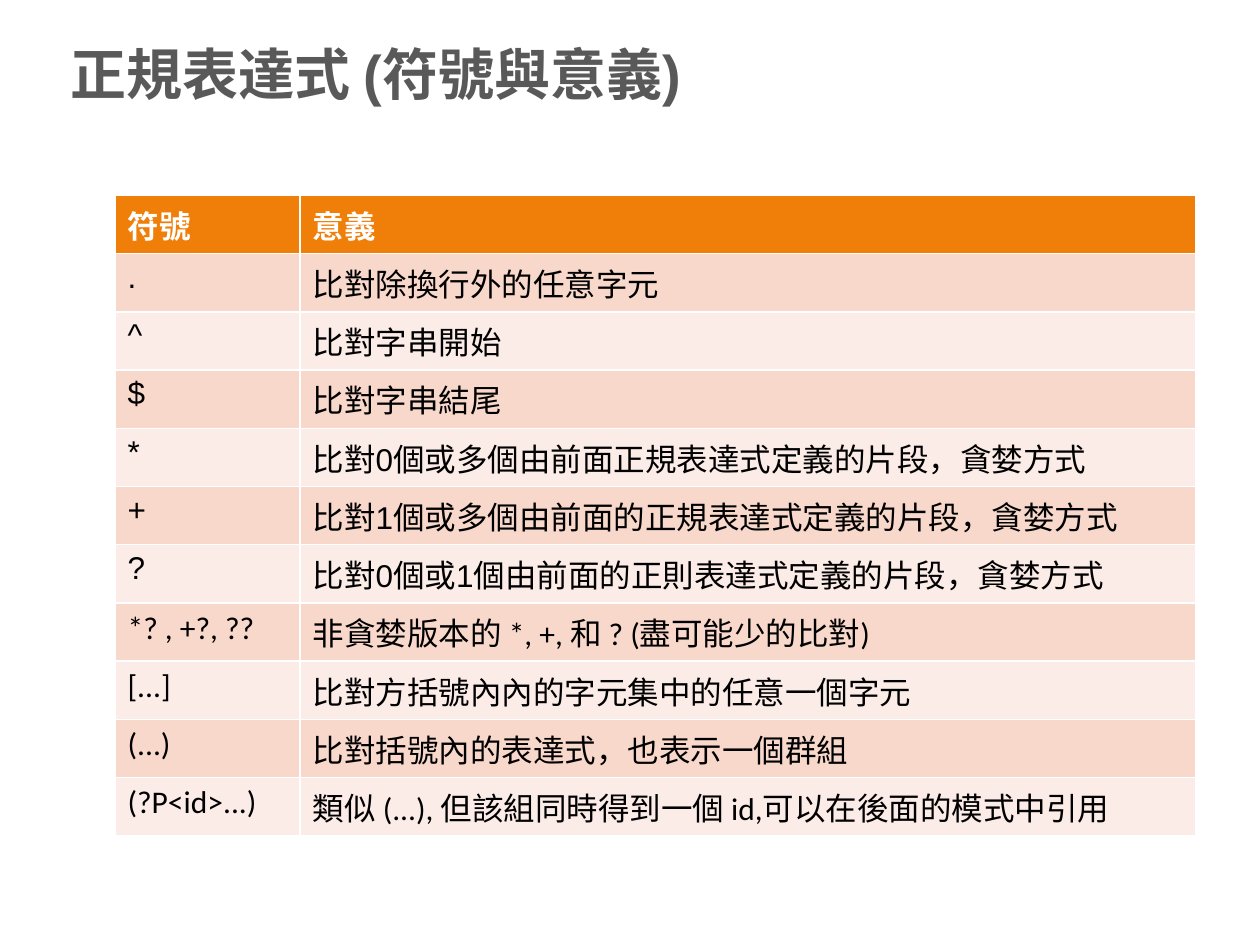
from pptx import Presentation
from pptx.dml.color import RGBColor
from pptx.enum import text
from pptx.util import Pt

ORANGE = RGBColor(0xF0, 0x7F, 0x09)
PINK = RGBColor(0xF9, 0xD8, 0xCC)
PALE_PINK = RGBColor(0xFC, 0xEC, 0xE7)
GRAY = RGBColor(0x59, 0x59, 0x59)
WHITE = RGBColor(0xFF, 0xFF, 0xFF)
BLACK = RGBColor(0, 0, 0)
SANS, BODY = "Arial", "Calibri"

TITLE = "正規表達式 (符號與意義)"
HEADER = ("符號", "意義")
# Each row: symbol, its font, then the meaning as (text, font) runs
ROWS = [
    (".", SANS, [("比對除換行外的任意字元", SANS)]),
    ("^", SANS, [("比對字串開始", SANS)]),
    ("$", SANS, [("比對字串結尾", SANS)]),
    ("*", SANS, [("比對0個或多個由前面正規表達式定義的片段，貪婪方式", SANS)]),
    ("+", SANS, [("比對1個或多個由前面的正規表達式定義的片段，貪婪方式", SANS)]),
    ("?", SANS, [("比對0個或1個由前面的正則表達式定義的片段，貪婪方式", SANS)]),
    ("*? , +?, ??", BODY, [("非貪婪版本的 *, +, 和 ? (盡可能少的", BODY),
                           ("比對", SANS), (")", BODY)]),
    ("[...]", BODY, [("比對", SANS), ("方括號內內的字元集中的任意一個字元", BODY)]),
    ("(...)", BODY, [("比對", SANS), ("括號內的表達式，也表示一個群組", BODY)]),
    ("(?P<id>...)", BODY,
     [("類似 (...), 但該組同時得到一個 id,可以在後面的模式中引用", BODY)]),
]
TITLE_BOX = (33, 20, 648, 44)
TABLE_LEFT, TABLE_TOP = 65.7, 111.6
COLUMN_WIDTHS = (105.8, 512)
ROW_HEIGHT = 29.3


def add_run(p, content, font, size, color, bold):
    r = p.add_run()
    r.text = content
    r.font.color.rgb = color
    for name, value in dict(name=font, size=Pt(size), bold=bold).items():
        setattr(r.font, name, value)


def fill_cell(cell, runs, fill, color, bold):
    cell.fill.solid()
    cell.fill.fore_color.rgb = fill
    for content, font in runs:
        add_run(cell.text_frame.paragraphs[0], content, font, 18, color, bold)


prs = Presentation()
prs.slide_width, prs.slide_height = Pt(720), Pt(540)
s = prs.slides.add_slide(prs.slide_layouts[5])

title = s.shapes.title
title.left, title.top, title.width, title.height = map(Pt, TITLE_BOX)
tf = title.text_frame
tf.vertical_anchor = text.MSO_ANCHOR.MIDDLE
p = tf.paragraphs[0]
p.alignment = text.PP_ALIGN.LEFT
add_run(p, TITLE, SANS, 32, GRAY, True)

count = len(ROWS) + 1
table = s.shapes.add_table(
    count, len(HEADER), Pt(TABLE_LEFT), Pt(TABLE_TOP),
    Pt(sum(COLUMN_WIDTHS)), Pt(ROW_HEIGHT * count)).table
for column, width in zip(table.columns, COLUMN_WIDTHS):
    column.width = Pt(width)

for c, label in enumerate(HEADER):
    fill_cell(table.cell(0, c), [(label, SANS)], ORANGE, WHITE, True)
for i, (symbol, font, meaning) in enumerate(ROWS, 1):
    band = PINK if i % 2 else PALE_PINK
    for c, runs in enumerate(([(symbol, font)], meaning)):
        fill_cell(table.cell(i, c), runs, band, BLACK, False)

prs.save("out.pptx")
